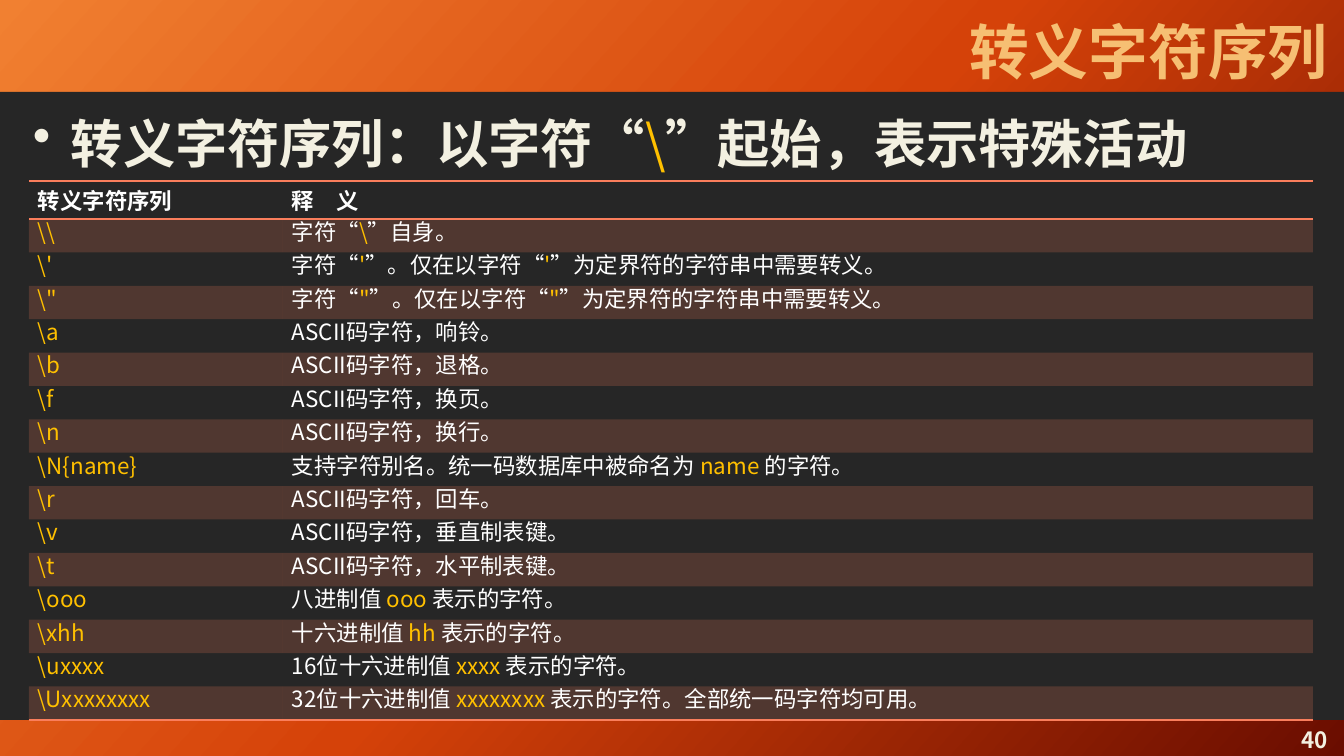
from copy import deepcopy
from dataclasses import dataclass

from lxml.etree import SubElement
from pptx import Presentation
from pptx.dml.color import RGBColor
from pptx.enum.lang import MSO_LANGUAGE_ID as Language
from pptx.enum.shapes import MSO_SHAPE as Shape
from pptx.enum.text import MSO_ANCHOR as Anchor, PP_ALIGN as Align
from pptx.oxml import parse_xml
from pptx.oxml.ns import nsdecls, qn
from pptx.util import Pt

SCALE = 914400 / 134.4  # EMU in one px
PLAIN_TABLE = "{2D5ABB26-0587-4C30-8999-92F81FD0307C}"


def px(length):
    return round(length * SCALE)


@dataclass(frozen=True)
class Theme:
    gradient: tuple = ((0, "F18031"), (0.5, "D54209"), (1, "6A0D00"))
    panel: str = "262626"
    title: str = "F6BF73"
    body: str = "F3F0E1"
    cell: str = "FFFFFF"
    code: str = "FFC000"
    accent: str = "FA7E5C"
    font: str = "Noto Sans CJK JP"
    code_font: str = "Noto Sans CJK SC"
    title_size: int = 32
    body_size: int = 28
    small_size: int = 12


THEME = Theme()


def write(frame, text, *, size, color, bold=False, align=Align.LEFT,
          anchor=Anchor.MIDDLE, bullet_indent=0, line_spacing=None):
    """Fill a text frame; backticks enclose code spans."""
    frame.word_wrap = True
    frame.vertical_anchor = anchor
    para = frame.paragraphs[0]
    para.alignment = align
    para.line_spacing = line_spacing
    if bullet_indent:
        properties = para._p.get_or_add_pPr()
        properties.set("marL", str(px(bullet_indent)))
        properties.set("indent", str(-px(bullet_indent)))
        SubElement(properties, qn("a:buChar"), char="•")
    for index, part in enumerate(text.split("`")):
        if not part:
            continue
        is_code = index % 2 == 1
        span = para.add_run()
        span.text = part
        font = span.font
        font.size = Pt(size)
        font.bold = bold and not is_code
        font.color.rgb = RGBColor.from_string(THEME.code if is_code else color)
        font.name = THEME.code_font if is_code else THEME.font
        font.language_id = Language.SIMPLIFIED_CHINESE
        SubElement(span._r.get_or_add_rPr(), qn("a:ea"), typeface=font.name)


class SlideBuilder:
    def __init__(self, deck, theme):
        self.theme = theme
        self.page = deck.slides.add_slide(deck.slide_layouts[6])

    def background(self, angle):
        fill = self.page.background.fill
        fill.gradient()
        fill.gradient_angle = 360 - angle
        first = fill.gradient_stops[0]._gs
        first.addnext(deepcopy(first))
        for stop, (position, color) in zip(fill.gradient_stops, self.theme.gradient):
            stop.position = position
            stop.color.rgb = RGBColor.from_string(color)

    def panel(self, left, top, width, height):
        box = self.page.shapes.add_shape(Shape.RECTANGLE, *map(px, (left, top, width, height)))
        box.shadow.inherit = False
        box.fill.solid()
        box.fill.fore_color.rgb = RGBColor.from_string(self.theme.panel)
        box.line.fill.background()

    def text(self, text, left, top, width, height, *, inset=(5, 5), **style):
        box = self.page.shapes.add_textbox(*map(px, (left, top, width, height)))
        frame = box.text_frame
        frame.margin_left = frame.margin_right = px(inset[0])
        frame.margin_top = frame.margin_bottom = px(inset[1])
        write(frame, text, **style)

    def border(self, cell, *sides):
        """Draw rules on the given sides, listed in the order T, B."""
        properties = cell._tc.get_or_add_tcPr()
        for index, side in enumerate(sides):
            properties.insert(index, parse_xml(
                f'<a:ln{side} {nsdecls("a")} w="{Pt(1)}"><a:solidFill>'
                f'<a:srgbClr val="{self.theme.accent}"/></a:solidFill></a:ln{side}>'))

    def shade(self, cell, opacity):
        cell.fill.solid()
        cell.fill.fore_color.rgb = RGBColor.from_string(self.theme.accent)
        color = cell._tc.tcPr.find(".//" + qn("a:srgbClr"))
        SubElement(color, qn("a:alpha"), val=str(opacity * 1000))

    def table(self, rows, left, top, widths, height, header_height):
        graphic = self.page.shapes.add_table(
            len(rows), len(widths), *map(px, (left, top, sum(widths), height)))
        table = graphic.table
        table._tbl.tblPr.find(qn("a:tableStyleId")).text = PLAIN_TABLE
        for column, width in zip(table.columns, widths):
            column.width = px(width)
        row_height = (height - header_height) / (len(rows) - 1)
        for number, values in enumerate(rows):
            is_header = number == 0
            table.rows[number].height = px(header_height if is_header else row_height)
            for cell, value in zip(table.rows[number].cells, values):
                cell.margin_left = cell.margin_right = px(9)
                cell.margin_top = cell.margin_bottom = 0
                cell.vertical_anchor = Anchor.MIDDLE
                write(cell.text_frame, value, size=self.theme.small_size,
                      color=self.theme.cell, bold=is_header, anchor=None,
                      line_spacing=None if is_header else Pt(12))
                if number % 2:
                    self.shade(cell, 20)
                else:
                    cell.fill.background()
                if is_header:
                    self.border(cell, "T", "B")
                elif number == len(rows) - 1:
                    self.border(cell, "B")


HEADER = ("转义字符序列", "释　义")
ESCAPES = [
    (r"\\", r"字符“`\`”自身。"),
    (r"\'", "字符“`'`”。仅在以字符“`'`”为定界符的字符串中需要转义。"),
    (r'\"', '字符“`"`”。仅在以字符“`"`”为定界符的字符串中需要转义。'),
    (r"\a", "ASCII码字符，响铃。"),
    (r"\b", "ASCII码字符，退格。"),
    (r"\f", "ASCII码字符，换页。"),
    (r"\n", "ASCII码字符，换行。"),
    (r"\N{name}", "支持字符别名。统一码数据库中被命名为 `name `的字符。"),
    (r"\r", "ASCII码字符，回车。"),
    (r"\v", "ASCII码字符，垂直制表键。"),
    (r"\t", "ASCII码字符，水平制表键。"),
    (r"\ooo", "八进制值 `ooo `表示的字符。"),
    (r"\xhh", "十六进制值 `hh `表示的字符。"),
    (r"\uxxxx", "16位十六进制值 `xxxx `表示的字符。"),
    (r"\Uxxxxxxxx", "32位十六进制值 `xxxxxxxx `表示的字符。全部统一码字符均可用。"),
]


def main():
    deck = Presentation()
    deck.slide_width, deck.slide_height = px(1344), px(756)
    slide = SlideBuilder(deck, THEME)

    # Backdrop
    slide.background(angle=42)
    slide.panel(0, 92, 1344, 628)

    # Title and slide number
    slide.text("转义字符序列", 11, 0, 1322, 101, size=THEME.title_size,
               color=THEME.title, bold=True, align=Align.RIGHT)
    slide.text("40", 1206, 725, 127, 29, inset=(5, 0), size=THEME.small_size,
               color=THEME.body, bold=True, align=Align.RIGHT)

    # Lead statement
    slide.text(r"转义字符序列：以字符“`\`”起始，表示特殊活动", 28, 106, 1306, 614,
               size=THEME.body_size, color=THEME.body, bold=True,
               anchor=Anchor.TOP, bullet_indent=38)

    # Escape sequence table
    rows = [HEADER] + [(f"`{code}`", meaning) for code, meaning in ESCAPES]
    slide.table(rows, 29, 181, (254, 1030), height=539, header_height=38)

    deck.save("out.pptx")


if __name__ == "__main__":
    main()
